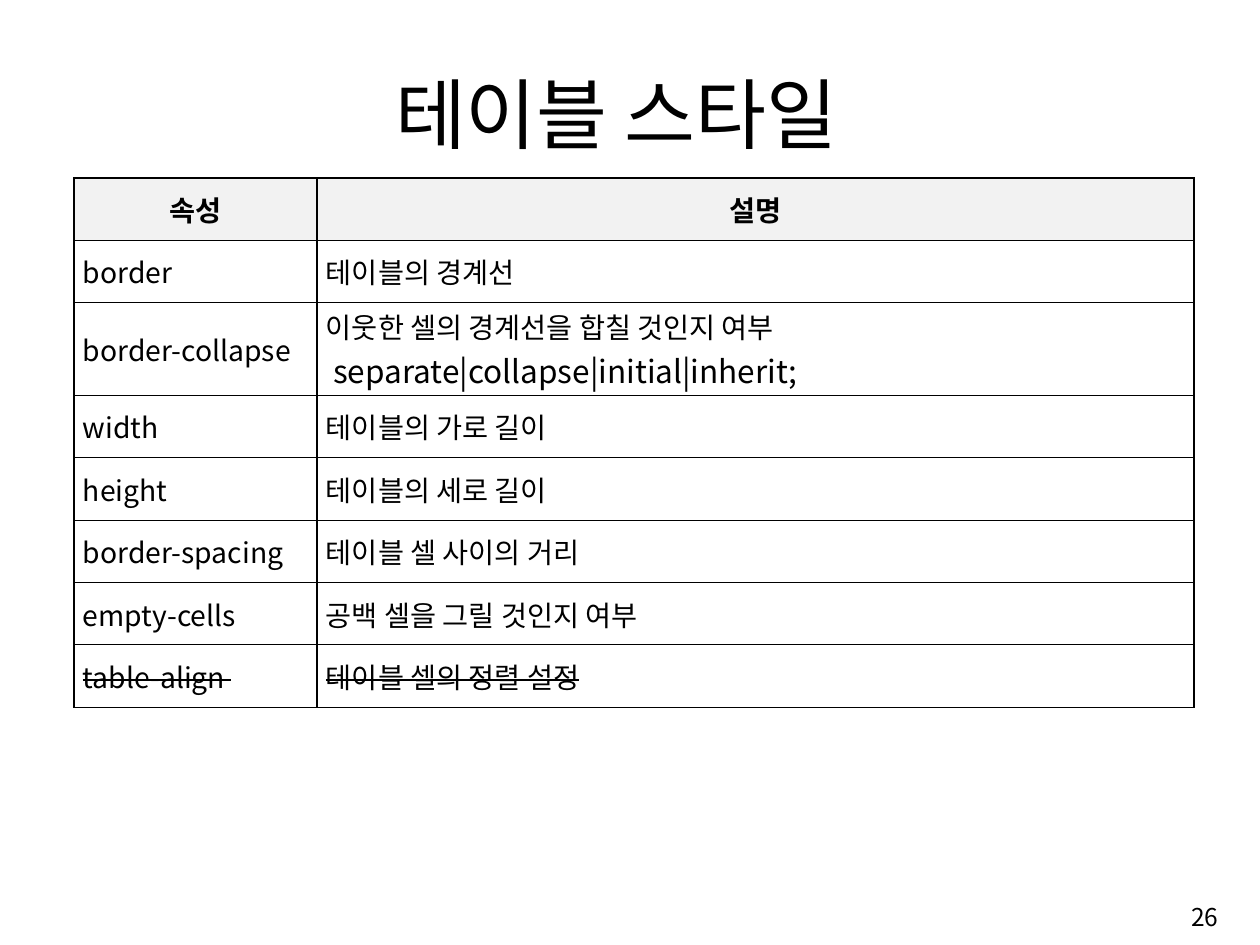
import pptx
import pptx.util
import pptx.dml.color
import pptx.enum.text
import pptx.oxml
import pptx.oxml.ns
from dataclasses import dataclass

ALIGN = pptx.enum.text.PP_ALIGN
ANCHOR = pptx.enum.text.MSO_ANCHOR

TITLE = "테이블 스타일"
PAGE = "26"
HEAD = ("속성", "설명")
ROWS = [
    ("border ", "테이블의 경계선"),
    ("border-collapse ", "이웃한 셀의 경계선을 합칠 것인지 여부\n separate|collapse|initial|inherit;"),
    ("width", "테이블의 가로 길이"),
    ("height", "테이블의 세로 길이"),
    ("border-spacing", "테이블 셀 사이의 거리"),
    ("empty-cells", "공백 셀을 그릴 것인지 여부"),
    ("table-align ", "테이블 셀의 정렬 설정"),
]
STRUCK = "table-align "


@dataclass(frozen=True)
class Theme:
    font: str = "Noto Sans CJK KR"
    ink: str = "000000"
    head: str = "F2F2F2"
    paper: str = "FFFFFF"
    title: float = 57.2
    cell: float = 21
    code: float = 23.4
    page: float = 18.2


THEME = Theme()
SLIDE = (1260, 945)
TITLE_BOX = (102, 59, 1029, 105)
TABLE_BOX = (74, 178, 1120, 529)
PAGE_BOX = (968, 888, 260, 58)
COLS = (243, 877)
TALL = 92


def px(n):
    return pptx.util.Emu(round(n * 914400 / 97))


def color(code):
    return pptx.dml.color.RGBColor.from_string(code)


def style(para, size, align, bold=False):
    para.alignment = align
    font = para.font
    font.size = pptx.util.Pt(size)
    font.bold = bold
    font.name = THEME.font
    font.color.rgb = color(THEME.ink)
    props = para._p.get_or_add_pPr().get_or_add_defRPr()
    asian = pptx.oxml.parse_xml(f'<a:ea {pptx.oxml.ns.nsdecls("a")} typeface="{THEME.font}"/>')
    props.find(pptx.oxml.ns.qn("a:latin")).addnext(asian)


def border(cell):
    props = cell._tc.get_or_add_tcPr()
    for i, side in enumerate(("lnL", "lnR", "lnT", "lnB")):
        props.insert(i, pptx.oxml.parse_xml(
            f'<a:{side} {pptx.oxml.ns.nsdecls("a")} w="12700"><a:solidFill>'
            f'<a:srgbClr val="{THEME.ink}"/></a:solidFill></a:{side}>'))


def add_title(slide):
    shape = slide.shapes.title
    shape.left, shape.top, shape.width, shape.height = map(px, TITLE_BOX)
    frame = shape.text_frame
    frame.text = TITLE
    frame.auto_size = pptx.enum.text.MSO_AUTO_SIZE.NONE
    frame.vertical_anchor = ANCHOR.BOTTOM
    style(frame.paragraphs[0], THEME.title, ALIGN.CENTER)


def fill_cell(cell, text, head, struck):
    cell.text = text
    cell.vertical_anchor = ANCHOR.MIDDLE
    cell.margin_left = cell.margin_right = px(9)
    cell.margin_top = cell.margin_bottom = px(3)
    cell.fill.solid()
    cell.fill.fore_color.rgb = color(THEME.head if head else THEME.paper)
    border(cell)
    for i, para in enumerate(cell.text_frame.paragraphs):
        style(para, THEME.code if i else THEME.cell,
              ALIGN.CENTER if head else ALIGN.JUSTIFY, head)
        if struck:
            para.runs[0]._r.get_or_add_rPr().set("strike", "sngStrike")


def add_grid(slide):
    lines = [HEAD, *ROWS]
    table = slide.shapes.add_table(len(lines), len(COLS), *map(px, TABLE_BOX)).table
    table.first_row = table.horz_banding = False
    for col, width in zip(table.columns, COLS):
        col.width = px(width)
    short = (TABLE_BOX[3] - TALL) / (len(lines) - 1)
    for r, line in enumerate(lines):
        table.rows[r].height = px(TALL if "\n" in line[1] else short)
        for c, text in enumerate(line):
            fill_cell(table.cell(r, c), text, r == 0, line[0] == STRUCK)


def add_page(slide):
    frame = slide.shapes.add_textbox(*map(px, PAGE_BOX)).text_frame
    frame.word_wrap = True
    frame.vertical_anchor = ANCHOR.MIDDLE
    frame.text = PAGE
    style(frame.paragraphs[0], THEME.page, ALIGN.RIGHT)


def main():
    deck = pptx.Presentation()
    deck.slide_width, deck.slide_height = map(px, SLIDE)
    slide = deck.slides.add_slide(deck.slide_layouts[5])
    add_title(slide)
    add_grid(slide)
    add_page(slide)
    deck.save("out.pptx")


if __name__ == "__main__":
    main()
